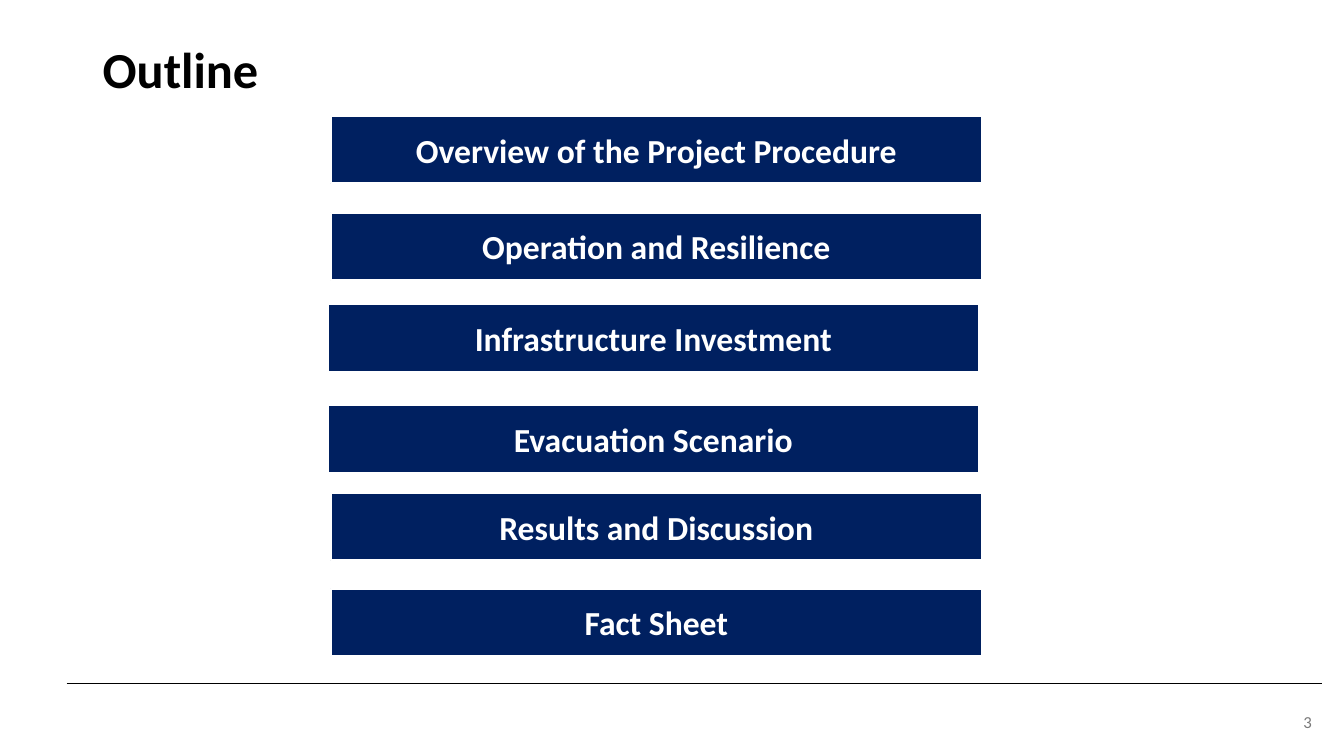
from lxml import etree
from pptx import Presentation
from pptx.dml.color import RGBColor
from pptx.enum.shapes import MSO_CONNECTOR as Connector, MSO_SHAPE as Shape
from pptx.enum.text import MSO_ANCHOR as Anchor, PP_ALIGN as Align
from pptx.oxml.ns import qn
from pptx.util import Inches, Pt

COLORS = {"navy": "002060", "white": "FFFFFF", "black": "000000", "gray": "797979"}
FORMATS = {
    "title": {"size": Pt(36), "bold": True},
    "topic": {"size": Pt(24), "bold": True},
    "number": {"size": Pt(12), "bold": False},
}
# Topic, left offset and top offset within the outline box
TOPICS = [
    ("Overview of the Project Procedure", 0.03, 0),
    ("Operation and Resilience", 0.03, 0.96),
    ("Infrastructure Investment", 0, 1.87),
    ("Evacuation Scenario", 0, 2.87),
    ("Results and Discussion", 0.03, 3.74),
    ("Fact Sheet", 0.03, 4.69),
]
BAR_WIDTH, BAR_HEIGHT = 6.46, 0.67


def rgb(color):
    return RGBColor.from_string(COLORS[color])


def write(frame, text, style, color, align, anchor):
    frame.word_wrap = True
    frame.vertical_anchor = anchor
    paragraph = frame.paragraphs[0]
    paragraph.alignment = align
    run = paragraph.add_run()
    run.text = text
    run.font.name = "Calibri"
    run.font.color.rgb = rgb(color)
    for attribute, value in FORMATS[style].items():
        setattr(run.font, attribute, value)
    return paragraph


def add_title(slide, left, top, width, height):
    title = slide.shapes.add_textbox(*map(Inches, (left, top, width, height)))
    heading = write(title.text_frame, "Outline", "title", "black", Align.LEFT, Anchor.TOP)
    heading.line_spacing = 0.9


def add_topics(slide, left, top):
    for topic, dx, dy in TOPICS:
        box = map(Inches, (left + dx, top + dy, BAR_WIDTH, BAR_HEIGHT))
        bar = slide.shapes.add_shape(Shape.RECTANGLE, *box)
        bar.shadow.inherit = False
        bar.fill.solid()
        bar.fill.fore_color.rgb = rgb("navy")
        bar.line.color.rgb = rgb("white")
        bar.line.width = Pt(1.5)
        write(bar.text_frame, topic, "topic", "white", Align.CENTER, Anchor.MIDDLE)


def add_footer(slide, left, top, width):
    """Draw the rule and the slide number below its right end."""
    right = left + width
    rule = slide.shapes.add_connector(
        Connector.STRAIGHT, *map(Inches, (left, top, right, top)))
    rule.line.color.rgb = rgb("black")
    rule.line.width = Pt(0.5)
    etree.SubElement(rule._element.spPr, qn("a:effectLst"))
    number = slide.shapes.add_textbox(
        *map(Inches, (right - 1.42, top + 0.18, 1.42, 0.4)))
    write(number.text_frame, "3", "number", "gray", Align.RIGHT, Anchor.MIDDLE)


def main():
    deck = Presentation()
    deck.slide_width, deck.slide_height = Inches(13.33), Inches(7.5)
    slide = deck.slides.add_slide(deck.slide_layouts[6])
    add_footer(slide, 0.66, 6.78, 12.45)
    add_title(slide, 0.92, 0.4, 11.5, 0.94)
    add_topics(slide, 3.25, 1.15)
    deck.save("out.pptx")


if __name__ == "__main__":
    main()
